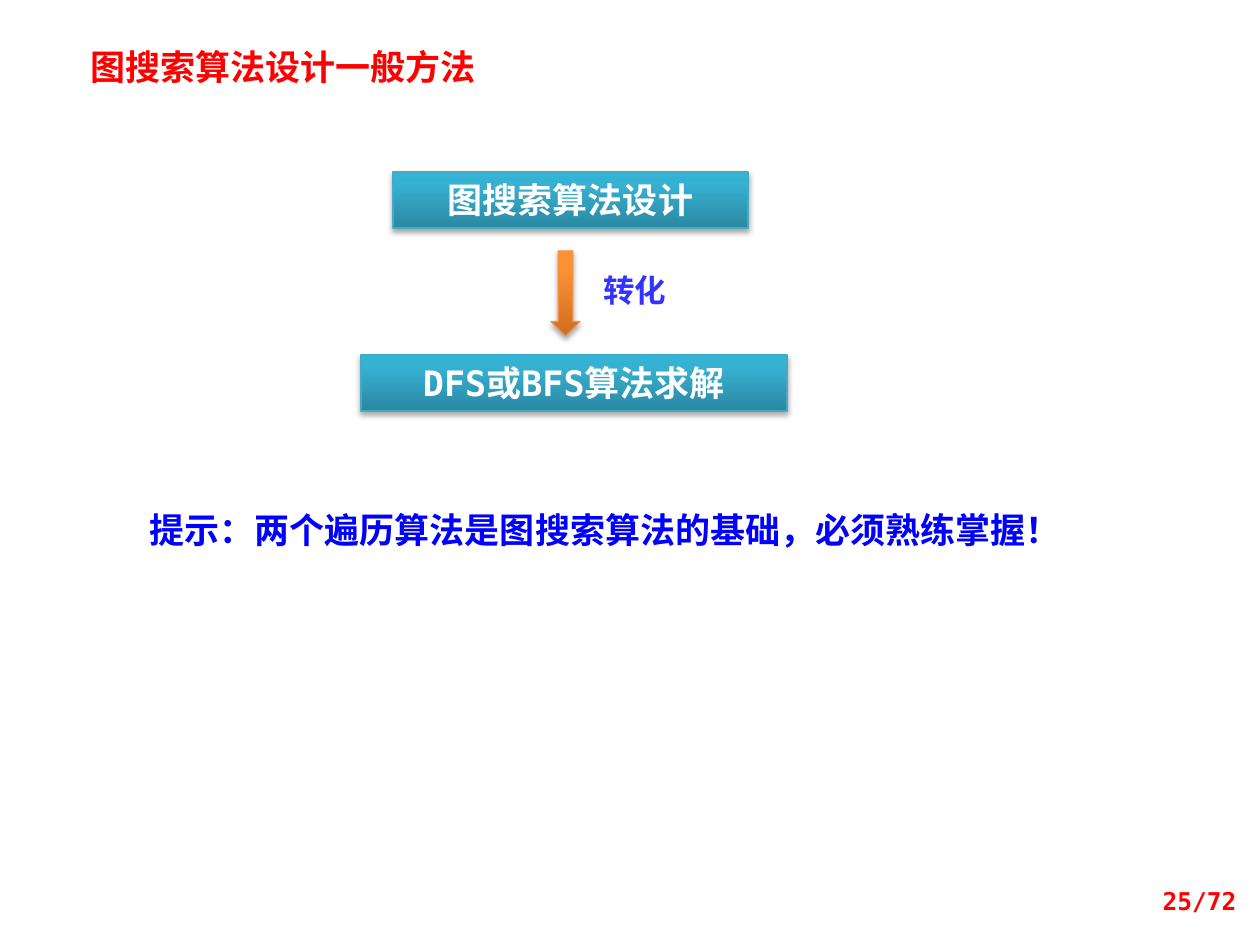
import pptx
import pptx.util
import pptx.dml.color
import pptx.enum.shapes
import pptx.enum.text
import pptx.oxml
import pptx.oxml.ns

PX = 914400 // 126  # EMU in one px
SHAPE = pptx.enum.shapes.MSO_SHAPE
ALIGN = pptx.enum.text.PP_ALIGN
ANCHOR = pptx.enum.text.MSO_ANCHOR
AUTO = pptx.enum.text.MSO_AUTO_SIZE

THEME = {
    "mono": "DejaVu Sans Mono", "cjk": "Noto Sans CJK SC",
    "body": 20, "label": 18, "page": 14,
    "red": "FF0000", "blue": "0000FF", "violet": "3333FF", "white": "FFFFFF",
    "teal": ([(0, "2A88A2"), (80, "37B1D2"), (100, "34B4D6")], "46AAC5"),
    "orange": ([(0, "CC6E20"), (80, "FF9034"), (100, "FF9136")], "F69240"),
}

# Content: text, place in px (left, top, width, height), then style
STEPS = [
    ("图搜索算法设计", (393, 172, 355, 56)),
    ("DFS或BFS算法求解", (361, 355, 426, 56)),
]
ARROW = (551, 251, 29, 85)
TEXTS = [
    ("提示：两个遍历算法是图搜索算法的基础，必须熟练掌握！", (137, 502, 955, 56), "mono", "body", "blue"),
    ("转化", (591, 265, 118, 50), "cjk", "label", "violet"),
    ("图搜索算法设计一般方法", (78, 39, 591, 56), "cjk", "body", "red"),
]
PAGE = ("25/72", (955, 876, 294, 50), "mono", "page", "red")


def rgb(value):
    return pptx.dml.color.RGBColor.from_string(value)


def emu(place):
    return [v * PX for v in place]


def write(sp, text, font, size, color, align=ALIGN.LEFT, anchor=ANCHOR.TOP, grow=True):
    tf = sp.text_frame
    tf.word_wrap = True
    tf.auto_size = AUTO.SHAPE_TO_FIT_TEXT if grow else AUTO.NONE
    tf.vertical_anchor = anchor
    p = tf.paragraphs[0]
    p.alignment = align
    r = p.add_run()
    r.text = text
    r.font.name = THEME[font]
    r.font.size = pptx.util.Pt(THEME[size])
    r.font.bold = True
    r.font.color.rgb = rgb(THEME[color])
    ea = pptx.oxml.parse_xml(
        f'<a:ea {pptx.oxml.ns.nsdecls("a")} typeface="{THEME["cjk"]}"/>')
    r.font._element.append(ea)


def add_glossy(s, kind, place, look):
    """Shape with a vertical gradient, thin outline and soft shadow."""
    stops, line = THEME[look]
    ns = pptx.oxml.ns.nsdecls("a")
    sp = s.shapes.add_shape(kind, *emu(place))
    sp.fill.gradient()
    sp.line.color.rgb = rgb(line)
    sp.line.width = pptx.util.Pt(0.75)
    sp.shadow.inherit = False
    spPr = sp._element.spPr
    grad = "".join(f'<a:gs pos="{pos * 1000}"><a:srgbClr val="{c}"/></a:gs>' for pos, c in stops)
    spPr.replace(spPr.find(pptx.oxml.ns.qn("a:gradFill")), pptx.oxml.parse_xml(
        f'<a:gradFill {ns} rotWithShape="1"><a:gsLst>{grad}</a:gsLst>'
        '<a:lin ang="16200000" scaled="0"/></a:gradFill>'))
    spPr.find(pptx.oxml.ns.qn("a:effectLst")).append(pptx.oxml.parse_xml(
        f'<a:outerShdw {ns} blurRad="40000" dist="23000" dir="5400000" rotWithShape="0">'
        '<a:srgbClr val="000000"><a:alpha val="35000"/></a:srgbClr></a:outerShdw>'))
    return sp


def main():
    prs = pptx.Presentation()
    prs.slide_width, prs.slide_height = pptx.util.Inches(10), pptx.util.Inches(7.5)
    s = prs.slides.add_slide(prs.slide_layouts[6])

    # Flow: two steps joined by a block arrow
    for text, place in STEPS:
        sp = add_glossy(s, SHAPE.RECTANGLE, place, "teal")
        write(sp, text, "mono", "body", "white", ALIGN.CENTER)
    add_glossy(s, SHAPE.DOWN_ARROW, ARROW, "orange")

    # Title, arrow label and hint
    for text, place, *style in TEXTS:
        write(s.shapes.add_textbox(*emu(place)), text, *style)

    # Page number
    text, place, *style = PAGE
    write(s.shapes.add_textbox(*emu(place)), text, *style, ALIGN.RIGHT, ANCHOR.MIDDLE, grow=False)

    prs.save("out.pptx")


if __name__ == "__main__":
    main()
